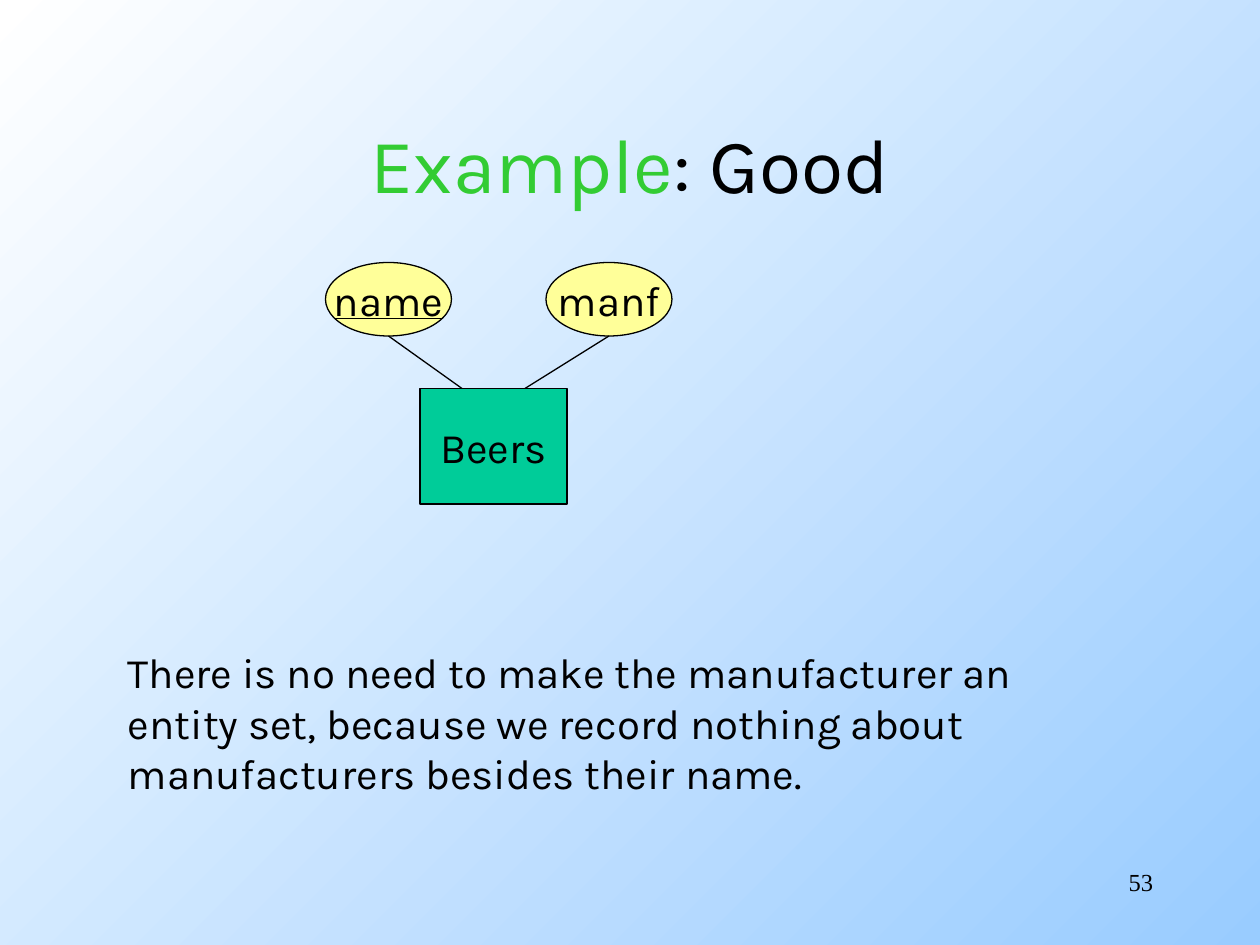
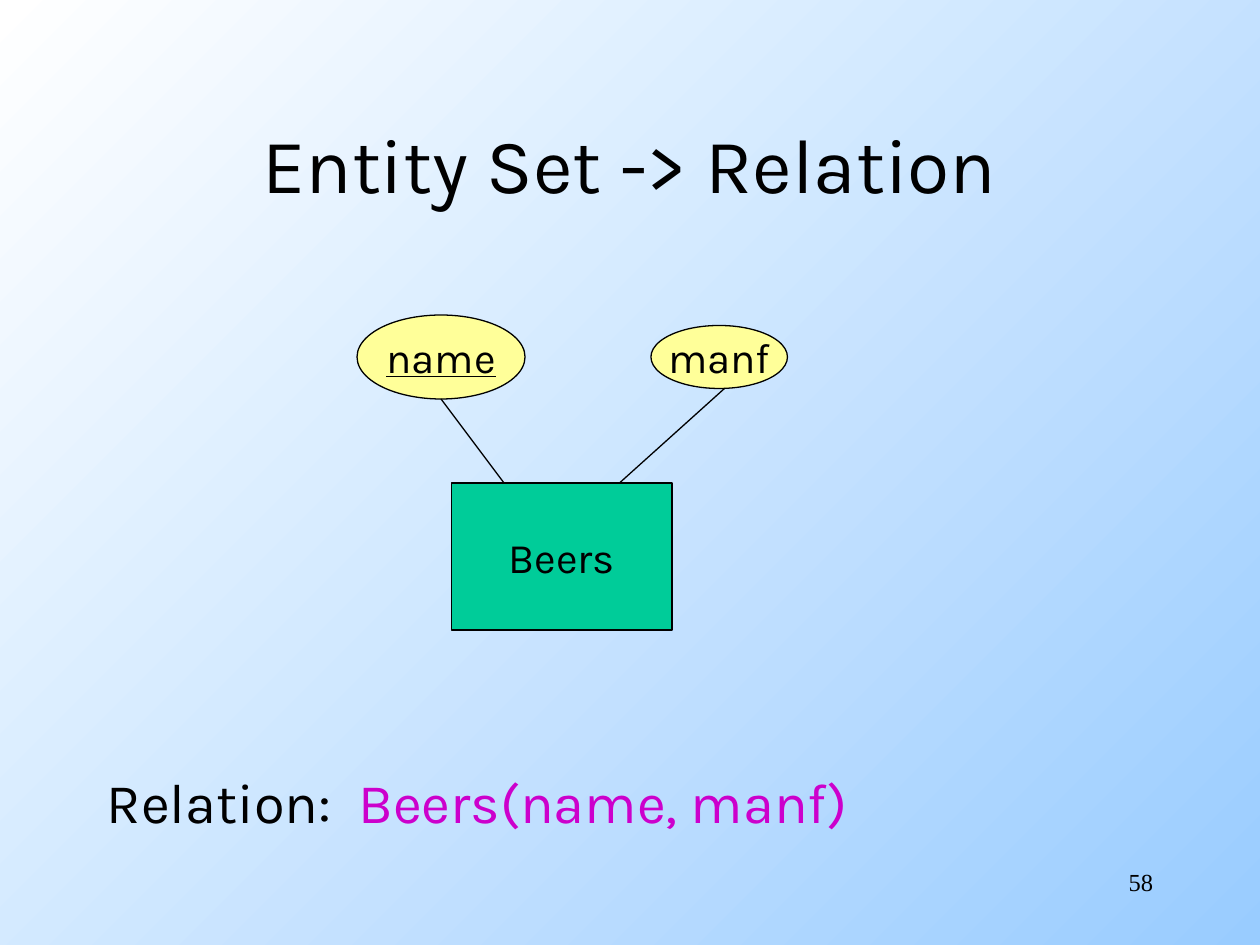
"""Builds two slides on entity sets and relations, on a grid of 120 columns by 90 rows."""
import pptx
import pptx.util
import pptx.dml.color
import pptx.enum.shapes
import pptx.enum.text
from lxml import etree

HUES = {"ink": "000000", "key": "33CC33", "rule": "CC00CC", "box": "00CC99",
        "oval": "FFFF99", "pale": "FFFFFF", "sky": "99CCFF"}
FONT = "Karla"
KIND = pptx.enum.shapes.MSO_SHAPE
ALIGN = pptx.enum.text.PP_ALIGN
MID = pptx.enum.text.MSO_ANCHOR.MIDDLE
TOP = pptx.enum.text.MSO_ANCHOR.TOP

deck = pptx.Presentation()
deck.slide_width = pptx.util.Inches(10)
deck.slide_height = pptx.util.Inches(7.5)
COL = deck.slide_width // 120
ROW = deck.slide_height // 90


def grid(*spots):
    """Turns column and row pairs into lengths."""
    return [round(n * (ROW if i % 2 else COL)) for i, n in enumerate(spots)]


def put(frame, *runs, size=24, font=FONT, align=ALIGN.CENTER, anchor=MID, wrap=True, under=None):
    """Writes runs of (text, hue) into a frame."""
    frame.word_wrap = wrap
    frame.vertical_anchor = anchor
    line = frame.paragraphs[0]
    line.alignment = align
    for text, hue in runs:
        run = line.add_run()
        run.text = text
        run.font.size = pptx.util.Pt(size)
        run.font.name = font
        run.font.underline = under
        run.font.color.rgb = pptx.dml.color.RGBColor.from_string(HUES[hue])


back = deck.slide_master.background.fill
back.gradient()
back.gradient_angle = 315
for stop, hue in zip(back.gradient_stops, ("pale", "sky")):
    stop.color.rgb = pptx.dml.color.RGBColor.from_string(HUES[hue])

pages = [
    {"no": "53",
     "title": [("Example", "key"), (": Good", "ink")],
     "beers": (40, 37, 14, 11), "name": (31, 25, 12, 7), "manf": (52, 25, 12, 7),
     "links": [(37, 32, 44, 37), (58, 32, 50, 37)],
     "note": [("There is no need to make the manufacturer an entity set, because we "
               "record nothing about manufacturers besides their name.", "ink")],
     "place": (11, 61, 90, 16), "size": 24},
    {"no": "58",
     "title": [("Entity Set -> Relation", "ink")],
     "beers": (43, 46, 21, 14), "name": (34, 30, 16, 8), "manf": (62, 31, 13, 6),
     "links": [(42, 38, 48, 46), (69, 37, 59, 46)],
     "note": [("Relation:  ", "ink"), ("Beers(name, manf)", "rule")],
     "place": (9, 72.5, 102, 8), "size": 32},
]

for page in pages:
    slide = deck.slides.add_slide(deck.slide_layouts[5])
    title = slide.shapes.title
    title.left, title.top, title.width, title.height = grid(9, 8, 102, 15)
    put(title.text_frame, *page["title"], size=44)

    foot = slide.shapes.add_textbox(*grid(86, 82, 25, 6))
    put(foot.text_frame, (page["no"], "ink"), size=14, font="Times New Roman",
        align=ALIGN.RIGHT, anchor=TOP)

    note = slide.shapes.add_textbox(*grid(*page["place"]))
    put(note.text_frame, *page["note"], size=page["size"], align=ALIGN.LEFT, anchor=TOP)

    for part, text, kind, hue in (("beers", "Beers", KIND.RECTANGLE, "box"),
                                  ("name", "name", KIND.OVAL, "oval"),
                                  ("manf", "manf", KIND.OVAL, "oval")):
        node = slide.shapes.add_shape(kind, *grid(*page[part]))
        node.shadow.inherit = False
        node.fill.solid()
        node.fill.fore_color.rgb = pptx.dml.color.RGBColor.from_string(HUES[hue])
        node.line.color.rgb = pptx.dml.color.RGBColor.from_string(HUES["ink"])
        node.line.width = pptx.util.Pt(0.75)
        put(node.text_frame, (text, "ink"), wrap=False, under=part == "name")

    for ends in page["links"]:
        link = slide.shapes.add_connector(pptx.enum.shapes.MSO_CONNECTOR.STRAIGHT, *grid(*ends))
        link.line.color.rgb = pptx.dml.color.RGBColor.from_string(HUES["ink"])
        link.line.width = pptx.util.Pt(0.75)
        etree.SubElement(link._element.spPr, pptx.oxml.ns.qn("a:effectLst"))

deck.save("out.pptx")
